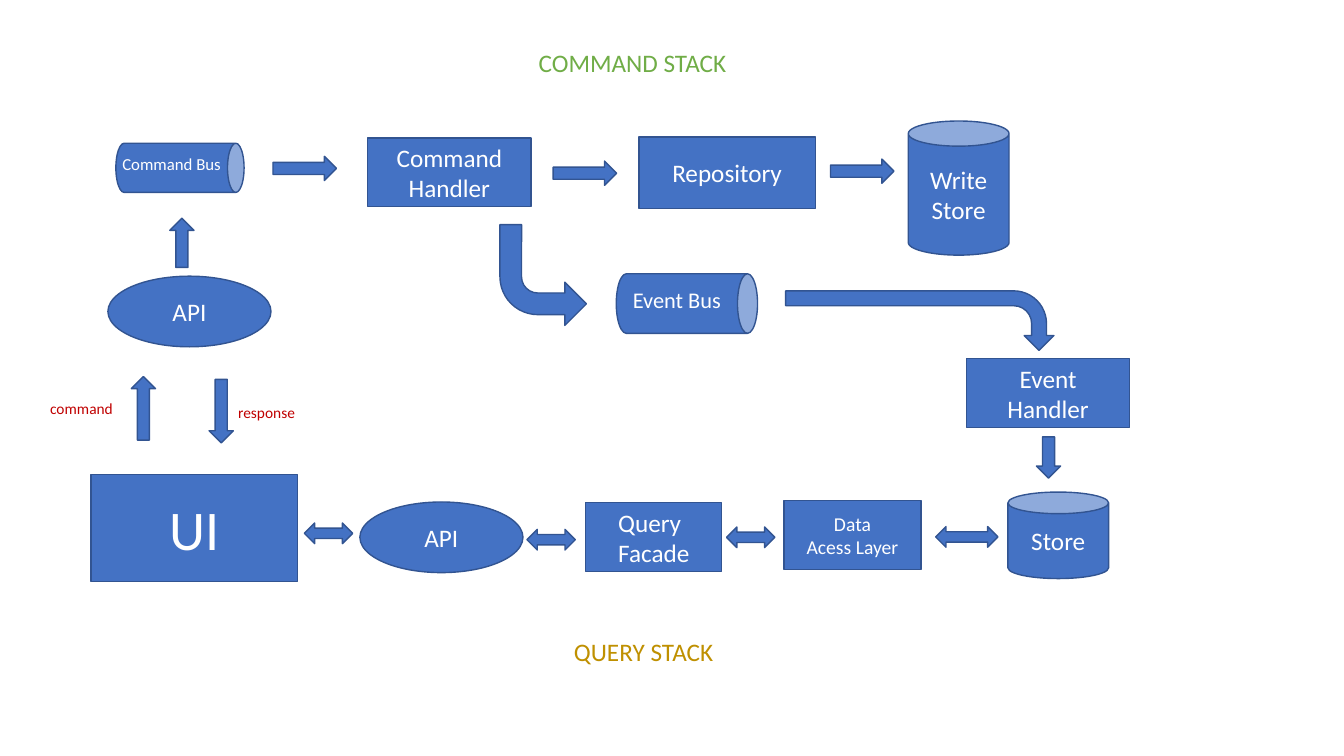
from pptx import Presentation
from pptx import util as u
from pptx.dml import color
from pptx.enum import shapes, text

KIND = shapes.MSO_SHAPE
FONT = "Calibri"
BLUE, OUTLINE, WHITE = "4472C4", "325491", "FFFFFF"
GREEN, GOLD, RED = "70AD47", "BF9000", "C00000"
NODE_WIDTH, BOX_HEIGHT, ELLIPSE_HEIGHT = 4.11, 1.73, 1.78
ARROW_LENGTH, ARROW_WIDTH = 1.6, 0.61
STORE_WIDTH = 2.54


def rgb(value):
    return color.RGBColor.from_string(value)


def write(shape, content, size, font_color, align=text.PP_ALIGN.CENTER, inset=0):
    frame = shape.text_frame
    frame.text = content
    frame.word_wrap = True
    frame.vertical_anchor = text.MSO_ANCHOR.MIDDLE
    frame.margin_left = u.Cm(inset)
    frame.margin_right = frame.margin_top = frame.margin_bottom = 0
    for paragraph in frame.paragraphs:
        paragraph.alignment = align
        for run in paragraph.runs:
            run.font.name = FONT
            run.font.size = u.Pt(size)
            run.font.color.rgb = rgb(font_color)


def add_node(slide, kind, left, top, width, height, content="", size=18, **style):
    shape = slide.shapes.add_shape(kind, u.Cm(left), u.Cm(top), u.Cm(width), u.Cm(height))
    shape.shadow.inherit = False
    shape.fill.solid()
    shape.fill.fore_color.rgb = rgb(BLUE)
    shape.line.color.rgb = rgb(OUTLINE)
    shape.line.width = u.Pt(1)
    if content:
        write(shape, content, size, WHITE, **style)
    return shape


def add_turned(slide, kind, left, top, width, height):
    shape = add_node(slide, kind, left + (width - height) / 2,
                     top + (height - width) / 2, height, width)
    shape.rotation = 90
    return shape


def add_label(slide, left, top, width, height, content, size, font_color):
    label = slide.shapes.add_textbox(u.Cm(left), u.Cm(top), u.Cm(width), u.Cm(height))
    write(label, content, size, font_color)


def add_bus(slide, left, top, width, height, content, size):
    bus = add_turned(slide, KIND.CAN, left, top, width, height)
    bus.adjustments[0] = 0.337
    cap = height * 0.337
    add_label(slide, left, top - 0.1, width - cap, height, content, size, WHITE)


def draw_client(slide, left, top):
    add_bus(slide, left + 1.92, top + 0.11, 3.23, 1.24, "Command Bus", 12)
    add_node(slide, KIND.OVAL, left + 1.72, top + 3.46, NODE_WIDTH, ELLIPSE_HEIGHT, "API")
    add_node(slide, KIND.RECTANGLE, left + 1.29, top + 8.46, 5.21, 2.69, "UI", 40)
    add_node(slide, KIND.UP_ARROW, left + 3.28, top + 2, ARROW_WIDTH, 1.24)
    add_node(slide, KIND.UP_ARROW, left + 2.31, top + 5.99, ARROW_WIDTH, ARROW_LENGTH)
    add_node(slide, KIND.DOWN_ARROW, left + 4.27, top + 6.06, ARROW_WIDTH, ARROW_LENGTH)
    add_label(slide, left, top + 6.41, 2.11, 0.74, "command", 11, RED)
    add_label(slide, left + 4.74, top + 6.51, 1.96, 0.74, "response", 11, RED)


def draw_command_stack(slide, left, top):
    add_label(slide, left + 6.5, top + 0.07, 5.28, 1.02, "COMMAND STACK", 18, GREEN)
    add_node(slide, KIND.RECTANGLE, left + 2.47, top + 2.48, NODE_WIDTH, BOX_HEIGHT,
             "Command\nHandler")
    add_node(slide, KIND.RECTANGLE, left + 9.3, top + 2.45, 4.45, 1.8, "Repository")
    store = add_node(slide, KIND.CAN, left + 16.09, top + 2.05, STORE_WIDTH, 3.38,
                     "Write\nStore")
    store.adjustments[0] = 0.25
    for x, y in ((0.08, 2.94), (7.14, 3.06), (14.13, 3.01)):
        add_node(slide, KIND.RIGHT_ARROW, left + x, top + y, ARROW_LENGTH, ARROW_WIDTH)


def draw_event_flow(slide, left, top):
    turn = add_node(slide, KIND.BENT_ARROW, left, top + 0.06, 2.18, 2.54)
    turn.rotation = 180
    turn.element.spPr.xfrm.set("flipH", "1")
    add_bus(slide, left + 2.93, top + 1.3, 3.56, 1.5, "Event Bus", 16)
    bend = add_turned(slide, KIND.BENT_ARROW, left + 7.2, top + 1.73, 6.76, 1.5)
    bend.adjustments[3] = 0.551
    add_node(slide, KIND.RECTANGLE, left + 11.76, top + 3.44, NODE_WIDTH, BOX_HEIGHT,
             "Event\nHandler")
    add_node(slide, KIND.DOWN_ARROW, left + 13.52, top + 5.41, ARROW_WIDTH, 1.04)


def draw_query_stack(slide, left, top):
    add_node(slide, KIND.OVAL, left + 1.47, top + 0.65, NODE_WIDTH, ELLIPSE_HEIGHT, "API")
    add_node(slide, KIND.RECTANGLE, left + 7.16, top + 0.67, 3.43, BOX_HEIGHT,
             "Query\nFacade", align=text.PP_ALIGN.LEFT, inset=0.82)
    add_node(slide, KIND.RECTANGLE, left + 12.16, top + 0.62, 3.45, BOX_HEIGHT,
             "Data\nAcess Layer", 14)
    add_node(slide, KIND.CAN, left + 17.8, top + 0.4, STORE_WIDTH, 2.18, "Store")
    for x, y, length in ((0.07, 1.18, 1.22), (5.68, 1.34, 1.22),
                         (10.71, 1.28, 1.22), (15.98, 1.27, 1.57)):
        add_node(slide, KIND.LEFT_RIGHT_ARROW, left + x, top + y, length, 0.52)
    add_label(slide, left + 6.62, top + 3.9, 4, 1.02, "QUERY STACK", 18, GOLD)


presentation = Presentation()
presentation.slide_width = u.Cm(33.87)
presentation.slide_height = u.Cm(19.05)
slide = presentation.slides.add_slide(presentation.slide_layouts[6])
draw_client(slide, 1, 3.5)
draw_command_stack(slide, 6.8, 1)
draw_event_flow(slide, 12.6, 5.6)
draw_query_stack(slide, 7.6, 12)
presentation.save("out.pptx")
